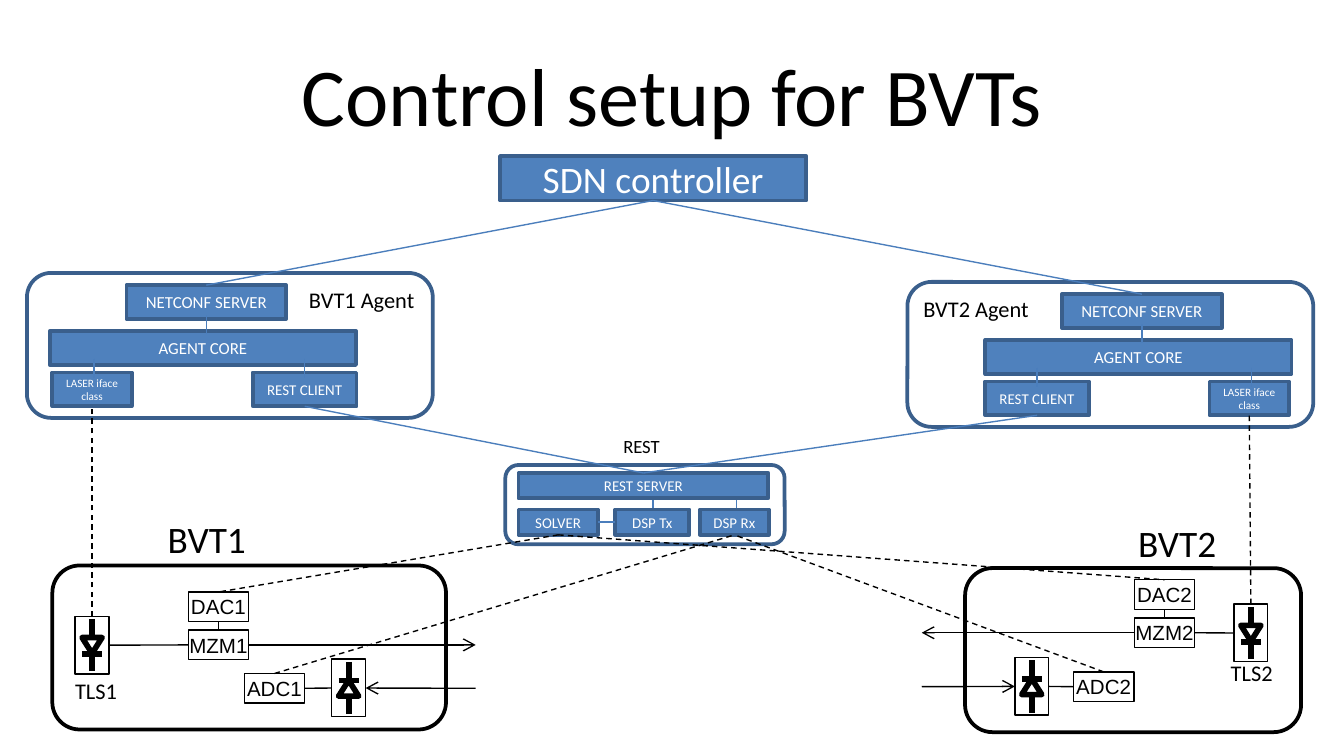
"""Build a slide showing the SDN control setup of two bandwidth-variable transceivers."""
from dataclasses import dataclass
from typing import Optional

from lxml import etree
from pptx import Presentation
from pptx.dml.color import RGBColor
from pptx.enum.dml import MSO_LINE
from pptx.enum.shapes import MSO_CONNECTOR, MSO_SHAPE
from pptx.enum.text import MSO_ANCHOR, MSO_AUTO_SIZE, PP_ALIGN
from pptx.oxml.ns import qn
from pptx.util import Cm, Pt

RECTANGLE = MSO_SHAPE.RECTANGLE
ROUNDED = MSO_SHAPE.ROUNDED_RECTANGLE
TRIANGLE = MSO_SHAPE.ISOSCELES_TRIANGLE
STRAIGHT = MSO_CONNECTOR.STRAIGHT
DASH = MSO_LINE.DASH
MIDDLE = MSO_ANCHOR.MIDDLE
CENTER = PP_ALIGN.CENTER
FIT_SHAPE = MSO_AUTO_SIZE.SHAPE_TO_FIT_TEXT
TOP, LEFT, BOTTOM, RIGHT = range(4)

COLORS = {"black": "000000", "white": "FFFFFF", "blue": "4F81BD",
          "border": "3A5F8C", "link": "4B7EBC"}


@dataclass(frozen=True)
class Style:
    fill: Optional[str]
    line: str
    width: float
    text: str = "white"
    font: str = "Calibri"
    wrap: bool = True


@dataclass(frozen=True)
class Agent:
    name: str
    left: float
    top: float
    core_left: float
    rest_offset: float
    laser_offset: float
    name_left: float


@dataclass(frozen=True)
class Transceiver:
    number: int
    frame: tuple
    name_at: tuple
    laser_left: float
    laser_name_at: tuple
    modulator_at: tuple
    adc_at: tuple
    detector_left: float
    port: float
    outward: int


MODULE = Style("blue", "border", 2)
AGENT_FRAME = Style(None, "border", 2)
SERVER_FRAME = Style("white", "border", 2)
BVT_FRAME = Style(None, "black", 2)
DEVICE = Style("white", "black", 0.75, "black", "Arial", False)
DIODE = Style("white", "black", 3)

AGENTS = [
    Agent("BVT1 Agent", 0.51, 5.16, 0.94, 3.84, 0.05, 5.59),
    Agent("BVT2 Agent", 17.15, 5.33, 18.62, 0, 4.24, 17.2),
]
TRANSCEIVERS = [
    Transceiver(1, (0.99, 10.69, 7.44, 3.1), (2.92, 9.63), 1.42, (1.17, 12.67),
                (3.56, 11.91), (4.62, 12.73), 6.27, 8.99, RIGHT),
    Transceiver(2, (18.24, 10.74, 6.35, 3.1), (21.26, 9.7), 23.32, (23.01, 12.34),
                (21.44, 11.68), (20.29, 12.7), 19.18, 17.42, LEFT),
]


def color(name: str) -> RGBColor:
    return RGBColor.from_string(COLORS[name])


def format_text(para, size: float, text_color: str, font: str = "Calibri") -> None:
    for span in para.runs:
        span.font.size = Pt(size)
        span.font.name = font
        span.font.color.rgb = color(text_color)


def add_box(shapes, style: Style, left: float, top: float, width: float, height: float,
            text: str = "", size: float = 8, kind=RECTANGLE):
    box = shapes.add_shape(kind, Cm(left), Cm(top), Cm(width), Cm(height))
    box.shadow.inherit = False
    if style.fill:
        box.fill.solid()
        box.fill.fore_color.rgb = color(style.fill)
    else:
        box.fill.background()
    box.line.color.rgb = color(style.line)
    box.line.width = Pt(style.width)
    if text:
        frame = box.text_frame
        frame.text = text
        frame.word_wrap = style.wrap
        frame.vertical_anchor = MIDDLE
        frame.margin_left = frame.margin_right = Cm(0.2)
        para = frame.paragraphs[0]
        para.alignment = CENTER
        format_text(para, size, style.text, style.font)
    return box


def add_label(shapes, text: str, left: float, top: float, width: float, height: float,
              size: float) -> None:
    box = shapes.add_textbox(Cm(left), Cm(top), Cm(width), Cm(height))
    frame = box.text_frame
    frame.text = text
    frame.word_wrap = False
    frame.auto_size = FIT_SHAPE
    format_text(frame.paragraphs[0], size, "black")


def add_line(shapes, start: tuple, end: tuple, line_color: str = "black",
             width: float = 0.75, arrow: str = ""):
    line = shapes.add_connector(STRAIGHT, *(Cm(value) for value in (*start, *end)))
    line.line.color.rgb = color(line_color)
    line.line.width = Pt(width)
    if arrow:
        etree.SubElement(line.line._get_or_add_ln(), qn(f"a:{arrow}"), type="arrow")
    etree.SubElement(line._element.spPr, qn("a:effectLst"))
    return line


def join(shapes, first, first_side: int, second, second_side: int,
         line_color: str = "black", dashed: bool = False) -> None:
    line = add_line(shapes, (0, 0), (0, 0), line_color)
    line.begin_connect(first, first_side)
    line.end_connect(second, second_side)
    if dashed:
        line.line.dash_style = DASH


def add_tie(shapes, center: float, top: float) -> None:
    add_line(shapes, (center, top), (center, top + 0.36), "link")


def add_diode(shapes, left: float, top: float, downward: bool):
    parts = shapes.add_group_shape().shapes
    center = left + 0.32
    bar = top + (0.71 if downward else 0.4)
    box = add_box(parts, DEVICE, left, top, 0.64, 1.09)
    add_line(parts, (center, top + 0.05), (center, top + 1.04), width=3)
    triangle = add_box(parts, DIODE, center - 0.19, top + 0.4, 0.38, 0.3, kind=TRIANGLE)
    triangle.rotation = 180 if downward else 0
    add_line(parts, (center - 0.19, bar), (center + 0.19, bar), width=3)
    return box


def add_agent(shapes, agent: Agent) -> tuple:
    top, core = agent.top, agent.core_left
    rest_left, laser_left = core + agent.rest_offset, core + agent.laser_offset
    add_box(shapes, AGENT_FRAME, agent.left, top, 7.67, 2.74, kind=ROUNDED)
    add_label(shapes, agent.name, agent.name_left, top + 0.13, 2.51, 0.76, 12)
    netconf = add_box(shapes, MODULE, core + 1.45, top + 0.23, 3.02, 0.64, "NETCONF SERVER", 9)
    add_box(shapes, MODULE, core, top + 1.1, 5.79, 0.64, "AGENT CORE", 9)
    client = add_box(shapes, MODULE, rest_left, top + 1.88, 1.96, 0.64, "REST CLIENT")
    laser = add_box(shapes, MODULE, laser_left, top + 1.88, 1.5, 0.64, "LASER iface class", 6)
    add_tie(shapes, core + 2.96, top + 0.8)
    add_tie(shapes, rest_left + 0.98, top + 1.62)
    add_tie(shapes, laser_left + 0.79, top + 1.62)
    return netconf, client, laser


def add_transceiver(shapes, bvt: Transceiver) -> tuple:
    left, top = bvt.modulator_at
    adc_left, adc_top = bvt.adc_at
    outward, inward = bvt.outward, LEFT + RIGHT - bvt.outward
    add_box(shapes, BVT_FRAME, *bvt.frame, kind=ROUNDED)
    add_label(shapes, f"BVT{bvt.number}", *bvt.name_at, 2.01, 1.12, 20)
    add_label(shapes, f"TLS{bvt.number}", *bvt.laser_name_at, 1.32, 0.76, 12)
    laser = add_diode(shapes, bvt.laser_left, top - 0.26, True)
    detector = add_diode(shapes, bvt.detector_left, adc_top - 0.27, False)
    modulator = add_box(shapes, DEVICE, left, top, 1.14, 0.56, f"MZM{bvt.number}", 11)
    dac = add_box(shapes, DEVICE, left, top - 0.72, 1.14, 0.56, f"DAC{bvt.number}", 11)
    adc = add_box(shapes, DEVICE, adc_left, adc_top, 1.14, 0.56, f"ADC{bvt.number}", 11)
    join(shapes, dac, BOTTOM, modulator, TOP)
    join(shapes, laser, outward, modulator, inward)
    join(shapes, adc, outward, detector, inward)
    for device, middle, arrow in ((modulator, top + 0.28, "tailEnd"),
                                  (detector, adc_top + 0.28, "headEnd")):
        port = (bvt.port, middle)
        add_line(shapes, port, port, arrow=arrow).begin_connect(device, outward)
    return laser, dac, adc


def main() -> None:
    deck = Presentation()
    deck.slide_width, deck.slide_height = Cm(25.4), Cm(14.29)
    page = deck.slides.add_slide(deck.slide_layouts[5])
    shapes = page.shapes
    title = shapes.title
    title.left, title.top, title.width, title.height = Cm(1.27), Cm(0.58), Cm(22.86), Cm(2.39)
    title.text_frame.text = "Control setup for BVTs"
    title.text_frame.vertical_anchor = MIDDLE
    title.text_frame.paragraphs[0].alignment = CENTER
    format_text(title.text_frame.paragraphs[0], 44, "black")

    controller = add_box(shapes, MODULE, 9.45, 2.95, 5.79, 0.84, "SDN controller", 20)
    add_box(shapes, SERVER_FRAME, 9.55, 8.79, 5.28, 1.5, kind=ROUNDED)
    add_label(shapes, "REST", 11.53, 8.1, 1.5, 0.69, 10)
    for center in (12.34, 13.92):
        add_tie(shapes, center, 9.35)
    server = add_box(shapes, MODULE, 9.8, 8.94, 4.72, 0.48, "REST SERVER")
    solver, transmitter, receiver = (
        add_box(shapes, MODULE, left, 9.63, width, 0.48, text)
        for left, width, text in ((9.8, 1.5, "SOLVER"), (11.63, 1.4, "DSP Tx"),
                                  (13.23, 1.3, "DSP Rx")))
    join(shapes, transmitter, LEFT, solver, RIGHT, "link")

    for agent, bvt in zip(AGENTS, TRANSCEIVERS):
        netconf, client, driver = add_agent(shapes, agent)
        laser, dac, adc = add_transceiver(shapes, bvt)
        join(shapes, netconf, TOP, controller, BOTTOM, "link")
        join(shapes, client, BOTTOM, server, TOP, "link")
        join(shapes, laser, TOP, driver, BOTTOM, dashed=True)
        join(shapes, solver, BOTTOM, dac, TOP, dashed=True)
        join(shapes, adc, TOP, receiver, BOTTOM, dashed=True)
    deck.save("out.pptx")


if __name__ == "__main__":
    main()
